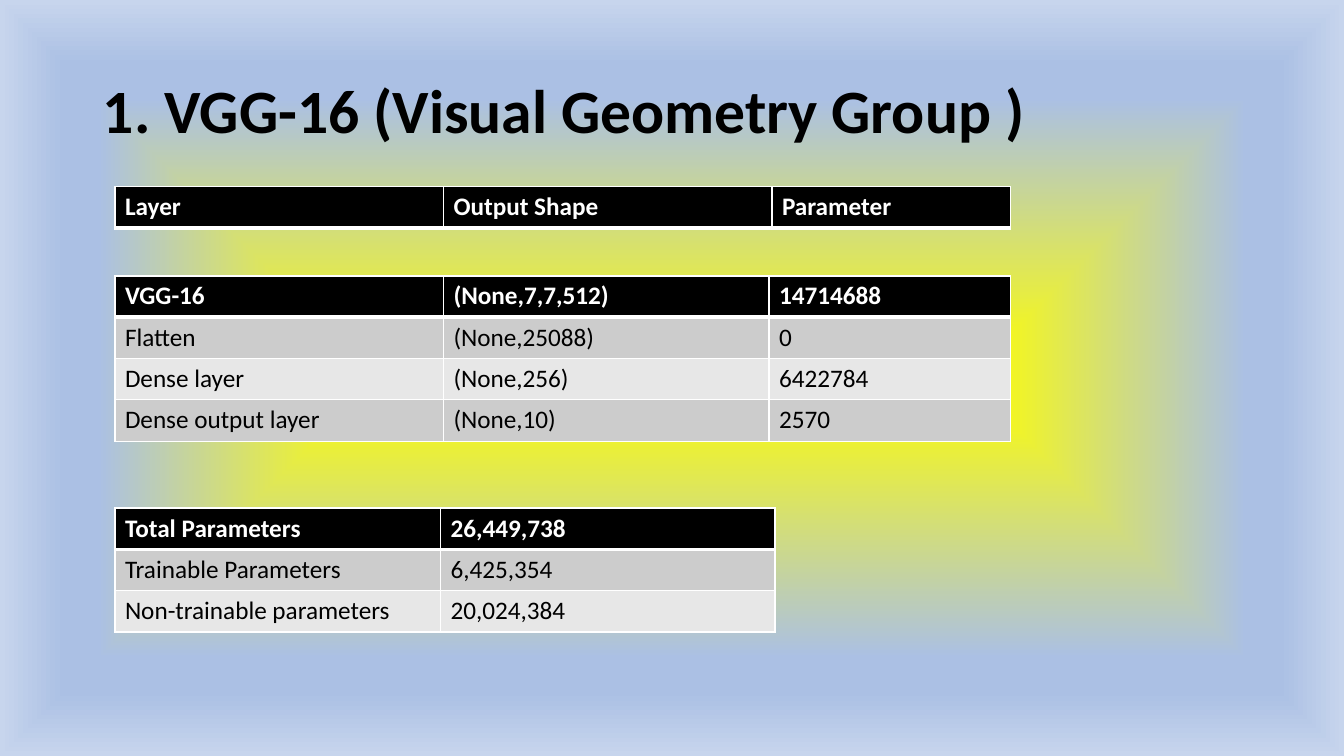
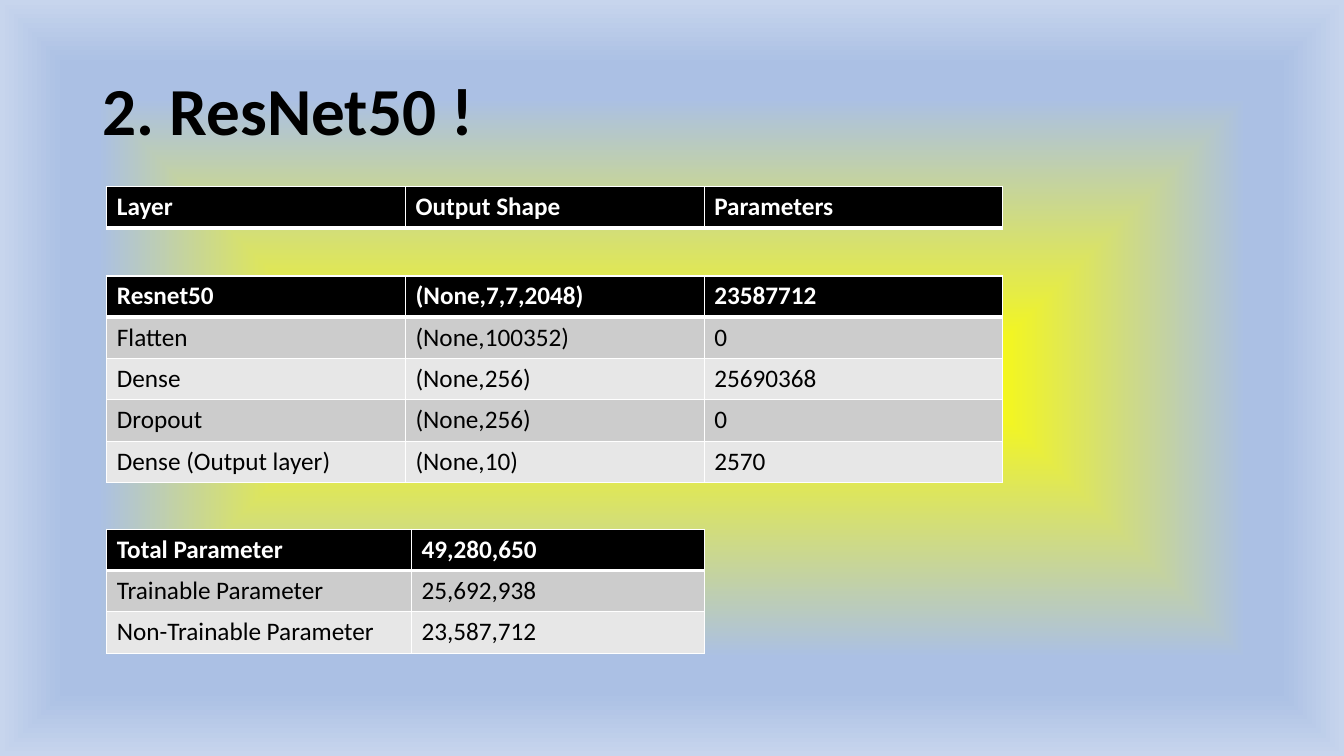
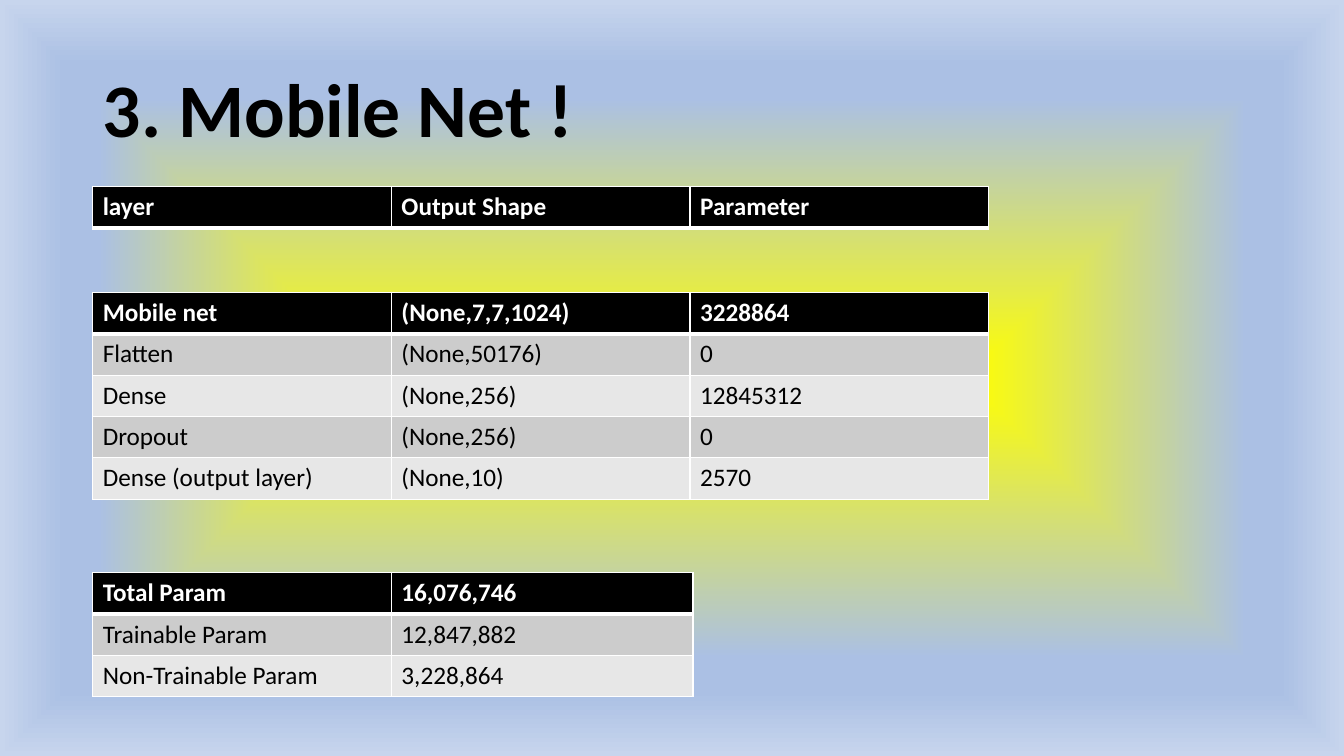
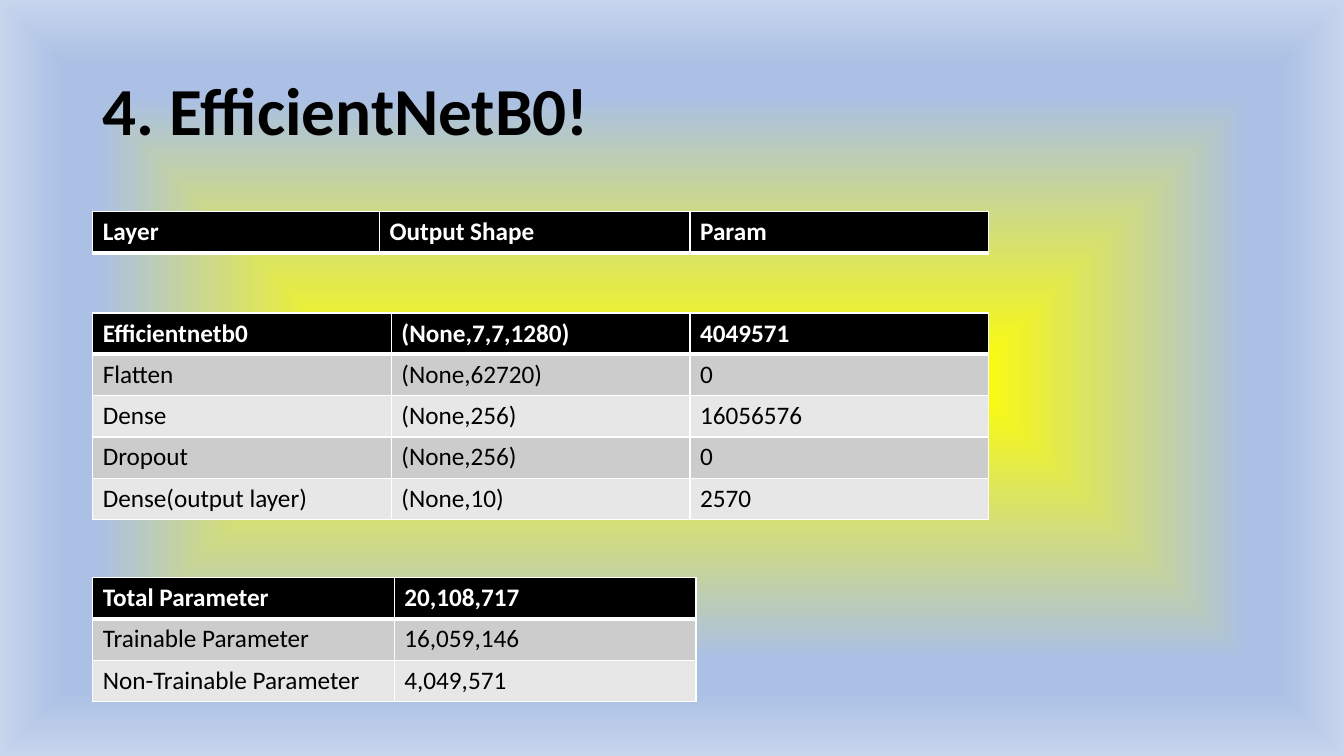
import lxml.etree
import pptx
import pptx.dml.color
import pptx.enum.text
import pptx.oxml.ns
import pptx.util

qn = pptx.oxml.ns.qn
SubElement = lxml.etree.SubElement

BLACK = pptx.dml.color.RGBColor(0x00, 0x00, 0x00)
WHITE = pptx.dml.color.RGBColor(0xFF, 0xFF, 0xFF)
DARK_BAND = pptx.dml.color.RGBColor(0xCC, 0xCC, 0xCC)
LIGHT_BAND = pptx.dml.color.RGBColor(0xE7, 0xE7, 0xE7)
YELLOW = pptx.dml.color.RGBColor(0xFF, 0xFF, 0x00)
BLUE = pptx.dml.color.RGBColor(0xAB, 0xC0, 0xE4)
PALE_BLUE = pptx.dml.color.RGBColor(0xC7, 0xD5, 0xED)

GRADIENT = [(0, YELLOW), (74, BLUE), (83, BLUE), (100, PALE_BLUE)]
FONT_NAME = "Calibri"
WIDTH = pptx.util.Inches(13.33)
HEIGHT = pptx.util.Inches(7.5)
COLUMN = WIDTH * 2 / 9
ROW = pptx.util.Inches(0.41)
TITLE_BOX = {
    "left": pptx.util.Inches(0.92),
    "top": pptx.util.Inches(0.4),
    "width": pptx.util.Inches(11.5),
    "height": pptx.util.Inches(1.45),
}
THIRDS = (1, 1, 1)

SLIDES = [
    {
        "title": "1. VGG-16 (Visual Geometry Group )",
        "size": 44,
        "left": 8.55,
        "tables": [
            (24.7, (1.1, 1.1, 0.8), [("Layer", "Output Shape", "Parameter")]),
            (36.5, (1.1, 1.09, 0.81), [
                ("VGG-16", "(None,7,7,512)", "14714688"),
                ("Flatten", "(None,25088)", "0"),
                ("Dense layer", "(None,256)", "6422784"),
                ("Dense output layer", "(None,10)", "2570"),
            ]),
            (67.2, (1.09, 1.12), [
                ("Total Parameters", "26,449,738"),
                ("Trainable Parameters", "6,425,354"),
                ("Non-trainable parameters", "20,024,384"),
            ]),
        ],
    },
    {
        "title": "2. ResNet50 !",
        "size": 48,
        "left": 7.95,
        "tables": [
            (24.7, THIRDS, [("Layer", "Output Shape", "Parameters")]),
            (36.5, THIRDS, [
                ("Resnet50", "(None,7,7,2048)", "23587712"),
                ("Flatten", "(None,100352)", "0"),
                ("Dense", "(None,256)", "25690368"),
                ("Dropout", "(None,256)", "0"),
                ("Dense (Output layer)", "(None,10)", "2570"),
            ]),
            (70, (1.02, 0.98), [
                ("Total Parameter", "49,280,650"),
                ("Trainable Parameter", "25,692,938"),
                ("Non-Trainable Parameter", "23,587,712"),
            ]),
        ],
    },
    {
        "title": "3. Mobile Net !",
        "size": 54,
        "left": 6.9,
        "tables": [
            (24.7, THIRDS, [("layer", "Output Shape", "Parameter")]),
            (38.7, THIRDS, [
                ("Mobile net", "(None,7,7,1024)", "3228864"),
                ("Flatten", "(None,50176)", "0"),
                ("Dense", "(None,256)", "12845312"),
                ("Dropout", "(None,256)", "0"),
                ("Dense (output layer)", "(None,10)", "2570"),
            ]),
            (75.75, (1, 1.01), [
                ("Total Param", "16,076,746"),
                ("Trainable Param", "12,847,882"),
                ("Non-Trainable Param", "3,228,864"),
            ]),
        ],
    },
    {
        "title": "4. EfficientNetB0!",
        "size": 48,
        "left": 6.9,
        "tables": [
            (28, (0.96, 1.04, 1), [("Layer", "Output Shape", "Param")]),
            (41.4, THIRDS, [
                ("Efficientnetb0", "(None,7,7,1280)", "4049571"),
                ("Flatten", "(None,62720)", "0"),
                ("Dense", "(None,256)", "16056576"),
                ("Dropout", "(None,256)", "0"),
                ("Dense(output layer)", "(None,10)", "2570"),
            ]),
            (76.4, (1.01, 1.01), [
                ("Total Parameter", "20,108,717"),
                ("Trainable Parameter", "16,059,146"),
                ("Non-Trainable Parameter", "4,049,571"),
            ]),
        ],
    },
]


def apply_format(target, values):
    for name, value in values.items():
        setattr(target, name, value)


def format_font(font, size, color, bold):
    apply_format(font, {"name": FONT_NAME, "size": pptx.util.Pt(size), "bold": bold})
    font.color.rgb = color


def set_background(master):
    master.background.fill.gradient()
    gradient = master.element.find(".//" + qn("a:gradFill"))
    for child in list(gradient):
        gradient.remove(child)
    stops = SubElement(gradient, qn("a:gsLst"))
    for position, color in GRADIENT:
        stop = SubElement(stops, qn("a:gs"), pos=str(position * 1000))
        SubElement(stop, qn("a:srgbClr"), val=str(color))
    outline = SubElement(gradient, qn("a:path"), {"path": "shape"})
    SubElement(outline, qn("a:fillToRect"), dict.fromkeys("ltrb", "50000"))


def add_title(slide, text, size):
    title = slide.shapes.title
    title.text_frame.text = text
    title.text_frame.vertical_anchor = pptx.enum.text.MSO_ANCHOR.MIDDLE
    paragraph = title.text_frame.paragraphs[0]
    apply_format(paragraph, {"alignment": pptx.enum.text.PP_ALIGN.LEFT, "line_spacing": 0.9})
    format_font(paragraph.runs[0].font, size, BLACK, True)


def set_borders(cell, widths):
    properties = cell._tc.get_or_add_tcPr()
    for side, width in widths.items():
        line = SubElement(properties, qn("a:ln" + side), w=str(pptx.util.Pt(width)))
        fill = SubElement(line, qn("a:solidFill"))
        SubElement(fill, qn("a:srgbClr"), val=str(WHITE))


def fill_cell(cell, text, row_index):
    heading = row_index == 0
    set_borders(cell, {
        "L": 1,
        "R": 1,
        "T": 3 if row_index == 1 else 1,
        "B": 3 if heading else 1,
    })
    cell.fill.solid()
    band = DARK_BAND if row_index % 2 else LIGHT_BAND
    cell.fill.fore_color.rgb = BLACK if heading else band
    cell.text = text
    font = cell.text_frame.paragraphs[0].runs[0].font
    format_font(font, 18, WHITE if heading else BLACK, heading)


def add_table(slide, left, top, column_shares, rows):
    frame = slide.shapes.add_table(
        len(rows), len(column_shares),
        int(WIDTH * left / 100), int(HEIGHT * top / 100),
        int(COLUMN * sum(column_shares)), ROW * len(rows),
    )
    table = frame.table
    table.horz_banding = False
    for column, share in zip(table.columns, column_shares):
        column.width = int(COLUMN * share)
    for row_index, texts in enumerate(rows):
        table.rows[row_index].height = ROW
        for column_index, text in enumerate(texts):
            fill_cell(table.cell(row_index, column_index), text, row_index)


def main():
    presentation = pptx.Presentation()
    apply_format(presentation, {"slide_width": WIDTH, "slide_height": HEIGHT})
    set_background(presentation.slide_master)
    layout = presentation.slide_layouts.get_by_name("Title Only")
    apply_format(layout.placeholders[0], TITLE_BOX)
    for content in SLIDES:
        slide = presentation.slides.add_slide(layout)
        add_title(slide, content["title"], content["size"])
        for top, column_shares, rows in content["tables"]:
            add_table(slide, content["left"], top, column_shares, rows)
    presentation.save("out.pptx")


if __name__ == "__main__":
    main()
